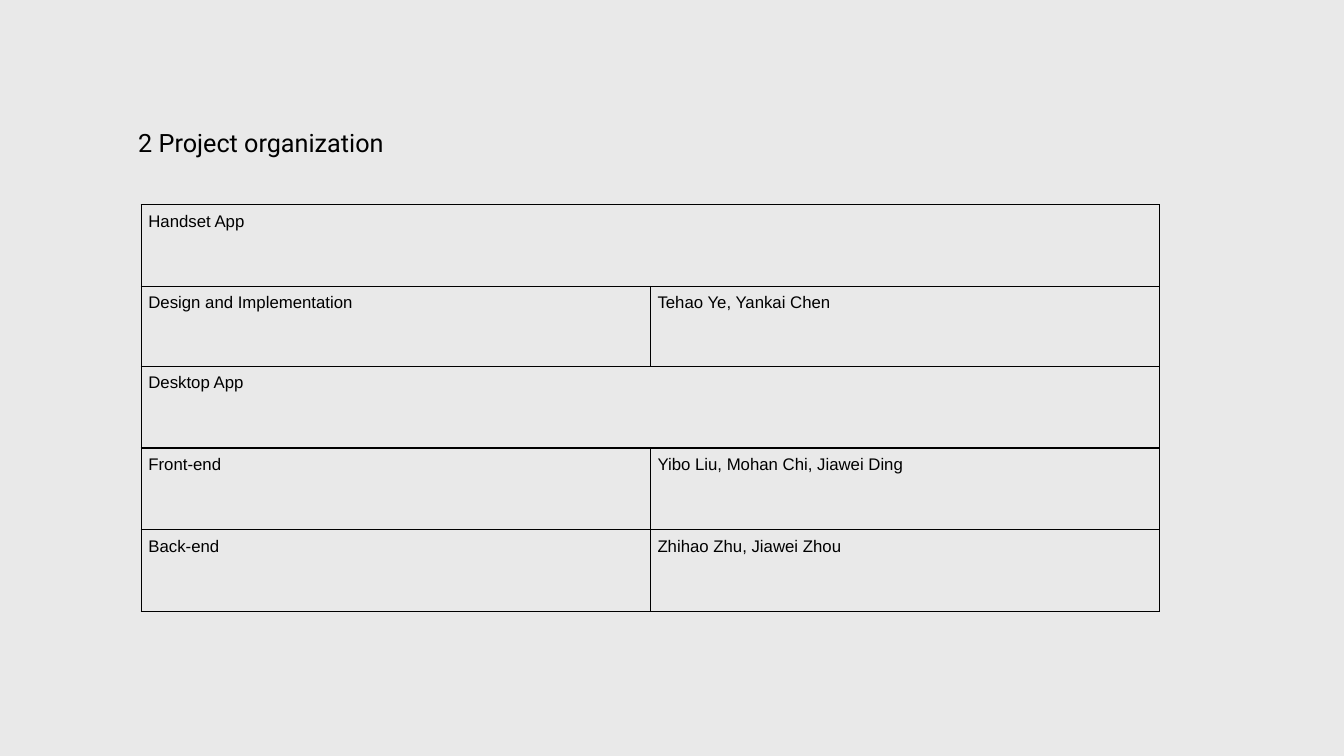
"""Build the project organization slide."""
from dataclasses import dataclass

from lxml.etree import SubElement
from pptx import Presentation
from pptx.dml.color import RGBColor
from pptx.enum.text import MSO_ANCHOR as Anchor, MSO_AUTO_SIZE as AutoSize, PP_ALIGN as Align
from pptx.oxml.ns import qn
from pptx.slide import Slide
from pptx.table import _Cell as Cell
from pptx.util import Cm, Pt

COLORS = {"background": "E9E9E9", "ink": "000000"}
COLUMN_WIDTH = Cm(12.83)
CELL_MARGIN = Cm(0.18)


@dataclass(frozen=True)
class TeamRow:
    task: str
    members: str = ""
    height: float = 2.06


TEAM_ROWS = [
    TeamRow("Handset App"),
    TeamRow("Design and Implementation", "Tehao Ye, Yankai Chen", 2.01),
    TeamRow("Desktop App"),
    TeamRow("Front-end", "Yibo Liu, Mohan Chi, Jiawei Ding"),
    TeamRow("Back-end", "Zhihao Zhu, Jiawei Zhou"),
]


def style_paragraph(paragraph, font_name: str, size: int, alignment: Align) -> None:
    paragraph.alignment = alignment
    paragraph.font.name = font_name
    paragraph.font.size = Pt(size)
    paragraph.font.color.rgb = RGBColor.from_string(COLORS["ink"])


def draw_title(slide: Slide, text: str) -> None:
    title = slide.shapes.title
    title.left, title.top, title.width, title.height = Cm(3.23), Cm(3.08), Cm(26.72), Cm(1)
    frame = title.text_frame
    frame.text = text
    frame.auto_size = AutoSize.NONE
    frame.vertical_anchor = Anchor.TOP
    style_paragraph(frame.paragraphs[0], "Roboto", 18, Align.LEFT)


def draw_borders(cell: Cell) -> None:
    properties = cell._tc.get_or_add_tcPr()
    for side in ("a:lnL", "a:lnR", "a:lnT", "a:lnB"):
        line = SubElement(properties, qn(side), w=str(Pt(1)))
        fill = SubElement(line, qn("a:solidFill"))
        SubElement(fill, qn("a:srgbClr"), val=COLORS["ink"])


def draw_cell(cell: Cell, text: str) -> None:
    draw_borders(cell)
    cell.fill.background()
    cell.margin_left = cell.margin_right = CELL_MARGIN
    cell.margin_top = cell.margin_bottom = CELL_MARGIN
    cell.text = text
    style_paragraph(cell.text_frame.paragraphs[0], "Arial", 12, Align.JUSTIFY)


def draw_team_table(slide: Slide, team_rows: list[TeamRow]) -> None:
    total_height = Cm(sum(team_row.height for team_row in team_rows))
    table = slide.shapes.add_table(
        len(team_rows), 2, Cm(3.56), Cm(5.16), 2 * COLUMN_WIDTH, total_height
    ).table
    table.first_row = table.horz_banding = False
    for column in table.columns:
        column.width = COLUMN_WIDTH
    for index, team_row in enumerate(team_rows):
        table.rows[index].height = Cm(team_row.height)
        task_cell, members_cell = table.cell(index, 0), table.cell(index, 1)
        draw_cell(task_cell, team_row.task)
        draw_cell(members_cell, team_row.members)
        if not team_row.members:
            task_cell.merge(members_cell)


def main() -> None:
    presentation = Presentation()
    presentation.slide_width, presentation.slide_height = Cm(33.87), Cm(19.05)
    slide = presentation.slides.add_slide(presentation.slide_layouts[5])
    background = slide.background.fill
    background.solid()
    background.fore_color.rgb = RGBColor.from_string(COLORS["background"])
    draw_title(slide, "2 Project organization")
    draw_team_table(slide, TEAM_ROWS)
    presentation.save("out.pptx")


if __name__ == "__main__":
    main()
